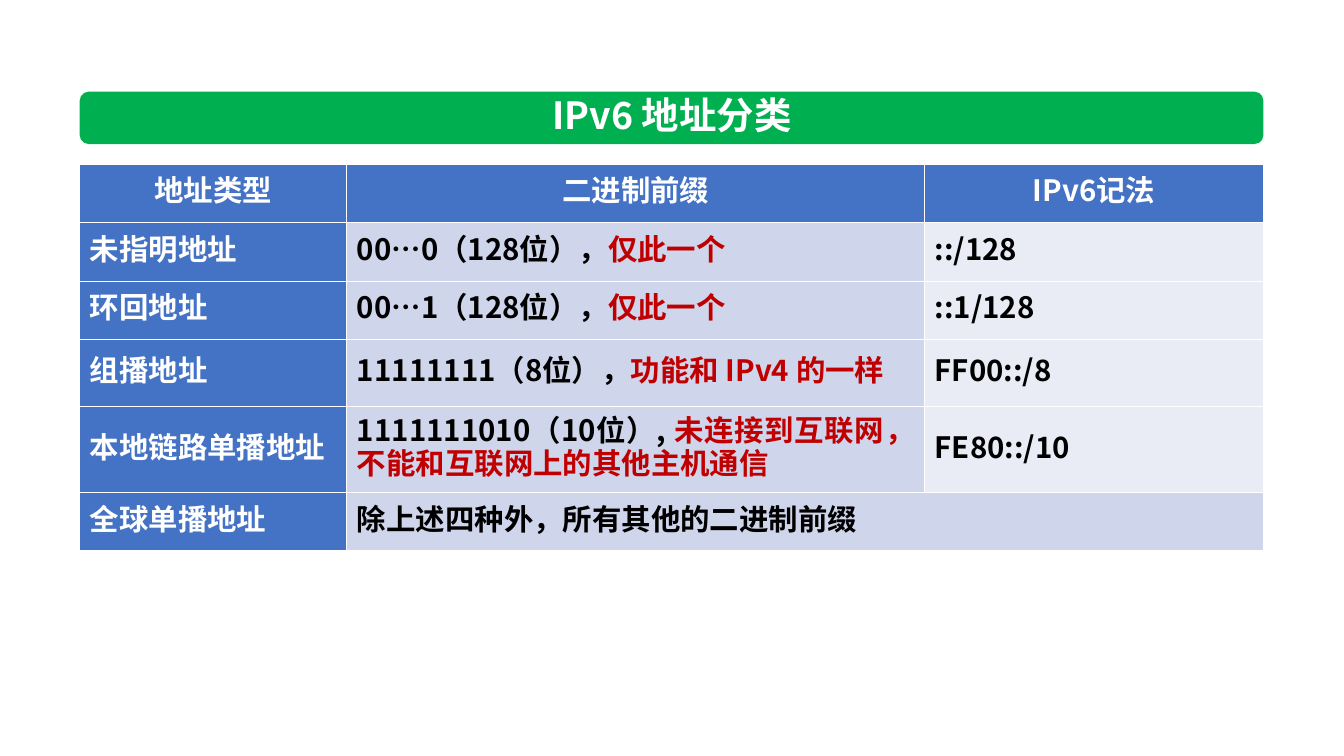
from lxml import etree
from pptx import Presentation, util as u
from pptx.dml.color import RGBColor
from pptx.enum import shapes, text
from pptx.oxml import ns

GREEN = RGBColor(0x00, 0xB0, 0x50)
BLUE = RGBColor(0x44, 0x72, 0xC4)
MIST = RGBColor(0xCF, 0xD5, 0xEA)
PALE = RGBColor(0xE9, 0xEB, 0xF5)
WHITE = RGBColor(0xFF, 0xFF, 0xFF)
BLACK = RGBColor(0x00, 0x00, 0x00)
RED = RGBColor(0xC0, 0x00, 0x00)

HEADS = ["地址类型", "二进制前缀", "IPv6记法"]
# Address type, prefix, remark on the prefix, notation
KINDS = [
    ("未指明地址", "00…0（128位），", "仅此一个", "::/128"),
    ("环回地址", "00…1（128位），", "仅此一个", "::1/128"),
    ("组播地址", "11111111（8位），", "功能和 IPv4 的一样", "FF00::/8"),
    ("本地链路单播地址", "1111111010（10位）, ",
     "未连接到互联网，不能和互联网上的其他主机通信", "FE80::/10"),
    ("全球单播地址", "除上述四种外，所有其他的二进制前缀", "", ""),
]


class Deck:
    """Style and current slide; lengths are percentages of the slide."""
    font = "Noto Sans CJK SC"
    size = 21
    lead = 24

    def __init__(self):
        self.prs = Presentation()
        self.prs.slide_width = u.Inches(13.33)
        self.prs.slide_height = u.Inches(7.5)
        self.slide = self.prs.slides.add_slide(self.prs.slide_layouts[6])

    def wide(self, share):
        return int(self.prs.slide_width * share / 100)

    def high(self, share):
        return int(self.prs.slide_height * share / 100)

    def box(self, x, y, w, h):
        return self.wide(x), self.high(y), self.wide(w), self.high(h)

    def label(self, para, parts, size, align):
        para.alignment = align
        for words, color in parts:
            run = para.add_run()
            run.text = words
            font = run.font
            font.size, font.bold, font.name = u.Pt(size), True, self.font
            font.color.rgb = color
            props = run._r.get_or_add_rPr()
            props.set("lang", "zh-CN")
            etree.SubElement(props, ns.qn("a:ea"), typeface=self.font)

    def bar(self, place, color):
        bar = self.slide.shapes.add_shape(
            shapes.MSO_SHAPE.ROUNDED_RECTANGLE, *self.box(*place))
        bar.shadow.inherit = False
        bar.adjustments[0] = 0.17
        bar.fill.solid()
        bar.fill.fore_color.rgb = color
        bar.line.fill.background()

    def title(self, place, words, size):
        frame = self.slide.shapes.add_textbox(*self.box(*place)).text_frame
        frame.word_wrap = True
        self.label(frame.paragraphs[0], [(words, WHITE)], size,
                   text.PP_ALIGN.CENTER)

    def table(self, x, y, cols, rows):
        place = self.box(x, y, sum(cols), sum(rows))
        grid = self.slide.shapes.add_table(len(rows), len(cols), *place).table
        for col, share in zip(grid.columns, cols):
            col.width = self.wide(share)
        for row, share in zip(grid.rows, rows):
            row.height = self.high(share)
        return grid

    def cell(self, cell, parts, fill, align=text.PP_ALIGN.JUSTIFY):
        cell.vertical_anchor = text.MSO_ANCHOR.MIDDLE
        cell.margin_left = cell.margin_right = u.Inches(0.1)
        cell.margin_top = cell.margin_bottom = 0
        cell.fill.solid()
        cell.fill.fore_color.rgb = fill
        self.edge(cell)
        para = cell.text_frame.paragraphs[0]
        para.line_spacing = u.Pt(self.lead)
        self.label(para, parts, self.size, align)

    def edge(self, cell):
        props = cell._tc.get_or_add_tcPr()
        for spot, side in enumerate("LRTB"):
            line = etree.Element(ns.qn("a:ln" + side), w=str(u.Pt(1)))
            fill = etree.SubElement(line, ns.qn("a:solidFill"))
            etree.SubElement(fill, ns.qn("a:srgbClr"), val=str(WHITE))
            props.insert(spot, line)


def main():
    deck = Deck()

    # Title bar
    left, cols = 5.93, [19.88, 42.99, 25.2]
    deck.bar((left, 12.13, sum(cols), 6.93), GREEN)
    deck.title((21.23, 11.47, 57.54, 7.33), "IPv6 地址分类", 26.7)

    # Table head
    rows = [7.73] * 4 + [11.33, 7.73]
    grid = deck.table(left, 21.73, cols, rows)
    for col, head in enumerate(HEADS):
        deck.cell(grid.cell(0, col), [(head, WHITE)], BLUE,
                  text.PP_ALIGN.CENTER)

    # Address kinds
    for row, (kind, prefix, remark, form) in enumerate(KINDS, 1):
        parts = [(prefix, BLACK)] + ([(remark, RED)] if remark else [])
        deck.cell(grid.cell(row, 0), [(kind, WHITE)], BLUE)
        deck.cell(grid.cell(row, 1), parts, MIST)
        deck.cell(grid.cell(row, 2), [(form, BLACK)] if form else [], PALE)

    # The last prefix covers both right columns
    last = len(KINDS)
    grid.cell(last, 1).merge(grid.cell(last, 2))

    deck.prs.save("out.pptx")


if __name__ == "__main__":
    main()
